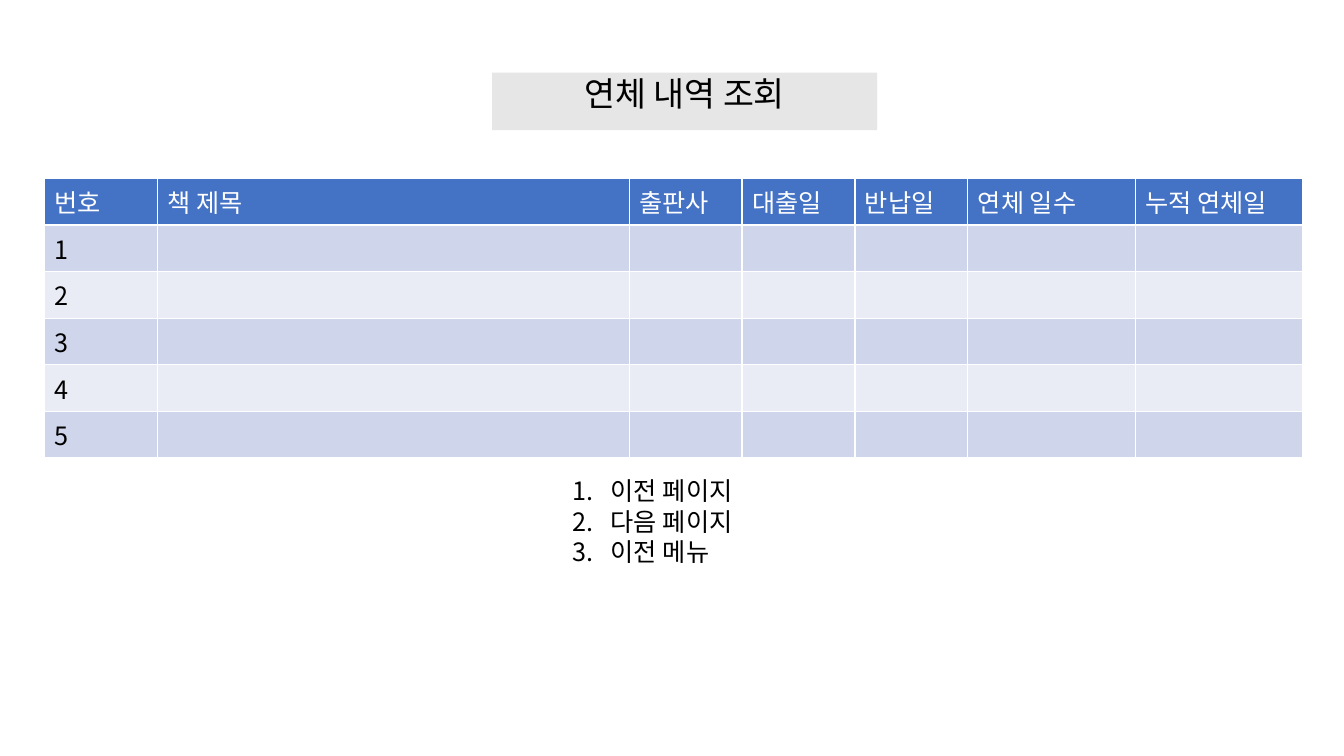
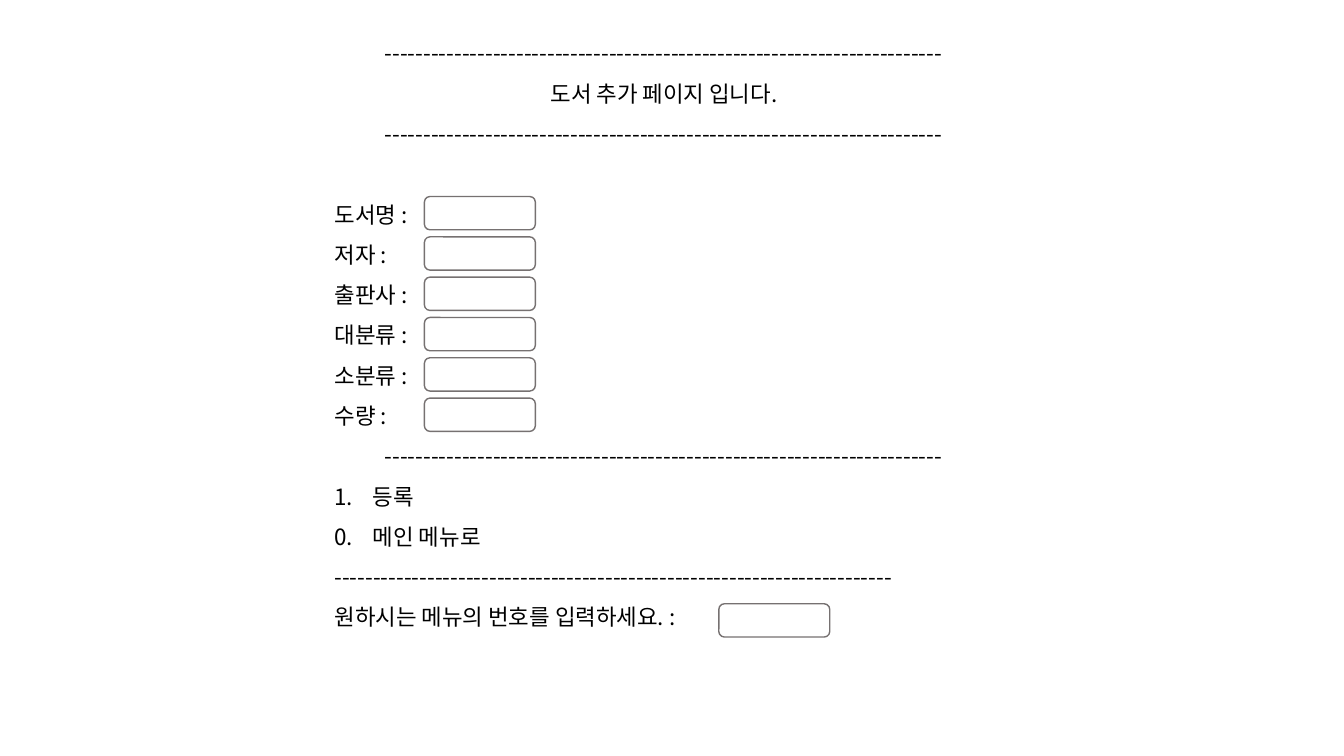
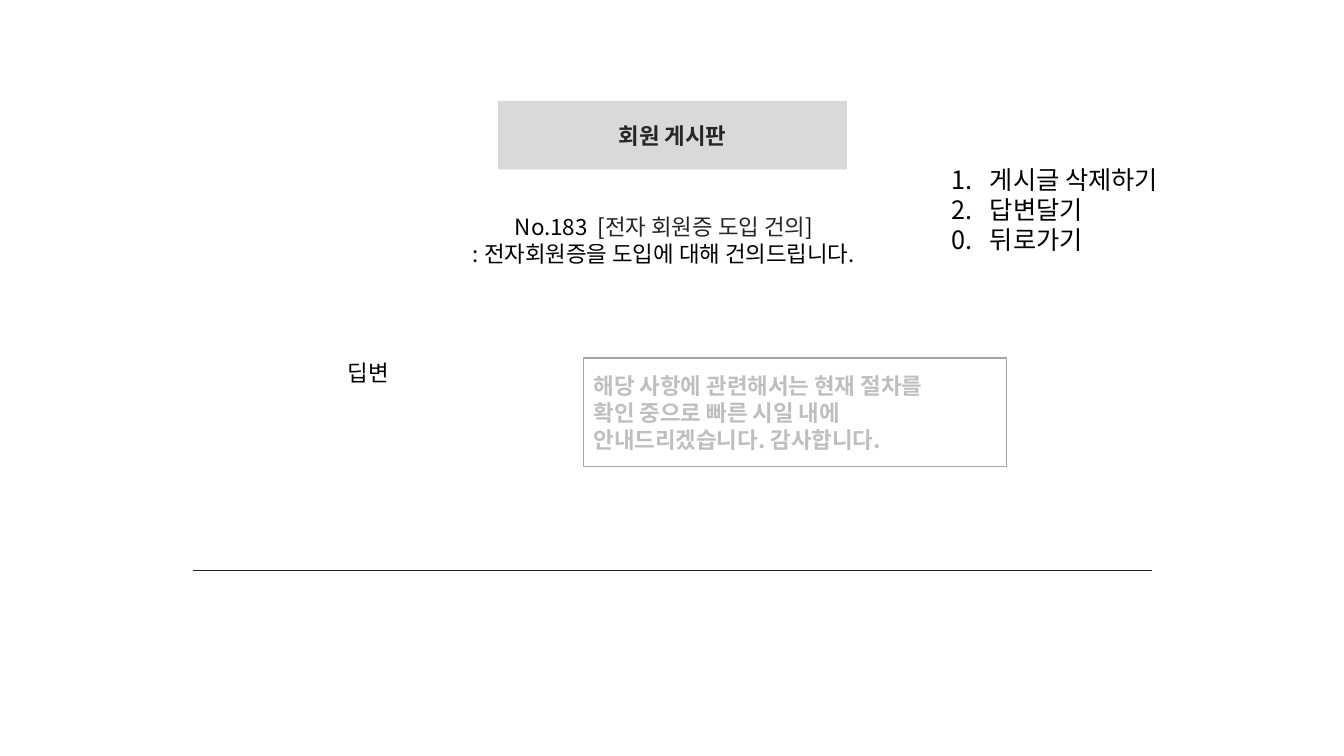
from dataclasses import dataclass

from lxml import etree
from pptx import Presentation
from pptx.dml.color import RGBColor
from pptx.enum import shapes, text
from pptx.oxml.ns import qn
from pptx.util import Inches, Pt


@dataclass(frozen=True)
class Theme:
    font: str = "Noto Sans CJK KR"
    title_font: str = "Arial"
    black: str = "000000"
    white: str = "FFFFFF"
    ink: str = "262626"
    muted: str = "BFBFBF"
    header: str = "4472C4"
    bands: tuple = ("CFD5EA", "E9EBF5")
    light_band: str = "E7E6E6"
    grey_band: str = "D9D9D9"
    field_line: str = "767171"
    answer_line: str = "A6A6A6"
    heading: int = 24
    list: int = 18
    body: int = 16


THEME = Theme()
LEFT, CENTER = text.PP_ALIGN.LEFT, text.PP_ALIGN.CENTER
TOP, MIDDLE = text.MSO_ANCHOR.TOP, text.MSO_ANCHOR.MIDDLE
DASHES = "-" * 72
HANG = 0.38
ROW = 0.4  # pitch of the form's lines, in inches


def rgb(code):
    return RGBColor.from_string(code)


def inches(box):
    return [Inches(length) for length in box]


def style(para, size=THEME.body, color=THEME.black, bold=False,
          align=LEFT, spacing=None, before=0, font=THEME.font):
    """Format a whole paragraph, Latin and Korean letters alike."""
    para.alignment = align
    para.space_before = Pt(before)
    if spacing:
        para.line_spacing = spacing
    para.font.size, para.font.bold, para.font.name = Pt(size), bold, font
    para.font.color.rgb = rgb(color)
    defaults = para._p.pPr.find(qn("a:defRPr"))
    etree.SubElement(defaults, qn("a:ea")).set("typeface", THEME.font)


def hang(para, numbered):
    """Hanging indent, with automatic numbers or a typed number and tab."""
    props = para._p.get_or_add_pPr()
    props.set("marL", str(Inches(HANG)))
    props.set("indent", str(-Inches(HANG)))
    if numbered:
        bullet = etree.Element(qn("a:buAutoNum"), type="arabicPeriod")
        props.find(qn("a:defRPr")).addprevious(bullet)


def write(frame, lines, anchor=TOP, **common):
    """Fill a frame with (text, options) lines; returns the paragraphs."""
    frame.word_wrap = True
    frame.auto_size = text.MSO_AUTO_SIZE.NONE
    frame.vertical_anchor = anchor
    paras = []
    for index, (words, options) in enumerate(lines):
        para = frame.add_paragraph() if index else frame.paragraphs[0]
        if words:
            para.text = words
        style(para, **{**common, **options})
        paras.append(para)
    return paras


def plain(*lines):
    return [(line, {}) for line in lines]


def add_text(page, box, lines, **common):
    frame = page.shapes.add_textbox(*inches(box)).text_frame
    return write(frame, lines, **common)


def add_title(page, box, words, fill=None, anchor=TOP, **options):
    title = page.shapes.title
    title.left, title.top, title.width, title.height = inches(box)
    if fill:
        title.fill.solid()
        title.fill.fore_color.rgb = rgb(fill)
    write(title.text_frame, plain(words), anchor, align=CENTER, **options)


def add_menu(page, box, numbered, last=None):
    """Numbered choices, with an optional closing choice numbered 0."""
    lines = plain(*numbered) + (plain(f"0.\t{last}") if last else [])
    paras = add_text(page, box, lines, size=THEME.list)
    for index, para in enumerate(paras):
        hang(para, index < len(numbered))


def add_box(page, kind, box, line, fill=None):
    shape = page.shapes.add_shape(kind, *inches(box))
    shape.shadow.inherit = False
    if fill:
        shape.fill.solid()
        shape.fill.fore_color.rgb = rgb(fill)
    else:
        shape.fill.background()
    shape.line.color.rgb, shape.line.width = rgb(line), Pt(1)
    return shape


def add_input(page, left, top):
    add_box(page, shapes.MSO_SHAPE.ROUNDED_RECTANGLE,
            (left, top, 1.1, 0.33), THEME.field_line)


def add_loan_table(page, left, top, columns, row_count):
    """Header row from (name, width) columns, then numbered empty rows."""
    height = 0.41
    width = sum(size for _, size in columns)
    table = page.shapes.add_table(
        row_count + 1, len(columns),
        *inches((left, top, width, height * (row_count + 1)))).table
    for column, (_, size) in zip(table.columns, columns):
        column.width = Inches(size)
    for number, row in enumerate(table.rows):
        fill = THEME.bands[(number - 1) % 2] if number else THEME.header
        for index, (cell, (name, _)) in enumerate(zip(row.cells, columns)):
            cell.fill.solid()
            cell.fill.fore_color.rgb = rgb(fill)
            words = name if not number else "" if index else str(number)
            para = cell.text_frame.paragraphs[0]
            if words:
                para.text = words
            style(para, THEME.list, THEME.black if number else THEME.white)


def overdue_slide(page):
    add_title(page, (4.88, 0.72, 3.82, 0.57), "연체 내역 조회",
              THEME.light_band, size=THEME.heading, spacing=0.9)
    columns = [("번호", 1.12), ("책 제목", 4.68), ("출판사", 1.12),
               ("대출일", 1.12), ("반납일", 1.12),
               ("연체 일수", 1.66), ("누적 연체일", 1.66)]
    add_loan_table(page, 0.44, 1.77, columns, 5)
    add_menu(page, (5.58, 4.67, 1.93, 1.01),
             ["이전 페이지", "다음 페이지", "이전 메뉴"])


def add_book_slide(page):
    left, top, width = 3.22, 0.21, 6.73
    labels = ["도서명 :", "저자 :", "출판사 :", "대분류 :", "소분류 :", "수량 :"]
    add_title(page, (left, top + ROW, width, 0.5), "도서 추가 페이지 입니다.",
              size=THEME.body, spacing=1.5)
    # Form text: the gaps leave room for the title and one free line
    gap = {"before": ROW * 72}
    centred = {"align": CENTER}
    lines = [(DASHES, centred), (DASHES, {**centred, **gap}),
             (labels[0], gap), *plain(*labels[1:]), (DASHES, centred),
             *plain("등록", "0.\t메인 메뉴로", DASHES,
                    "원하시는 메뉴의 번호를 입력하세요. :")]
    paras = add_text(page, (left, top, width, 6.11), lines, spacing=1.5)
    first_choice = 3 + len(labels)
    hang(paras[first_choice], True)
    hang(paras[first_choice + 1], False)
    # Input fields
    for index in range(len(labels)):
        add_input(page, left + 0.99, top + 1.74 + index * ROW)
    add_input(page, left + 3.91, top + 5.78)


def board_slide(page):
    add_title(page, (4.94, 1, 3.46, 0.68), "회원 게시판", THEME.grey_band,
              MIDDLE, color=THEME.ink, bold=True, font=THEME.title_font)
    # Closing rule
    rule = page.shapes.add_connector(
        shapes.MSO_CONNECTOR.STRAIGHT, *inches((1.91, 5.66, 11.43, 5.66)))
    rule.line.color.rgb, rule.line.width = rgb(THEME.ink), Pt(0.5)
    etree.SubElement(rule._element.spPr, qn("a:effectLst"))
    # Post
    post = add_text(page, (4.33, 2.07, 4.51, 0.64),
                    plain("", ": 전자회원증을 도입에 대해 건의드립니다."),
                    align=CENTER)
    for words, color in (("No.183  [", THEME.black),
                         ("전자 회원증 도입 건의", THEME.ink),
                         ("]", THEME.black)):
        span = post[0].add_run()
        span.text = words
        span.font.color.rgb = rgb(color)
    # Answer
    add_text(page, (3.35, 3.51, 0.65, 0.37), plain("딥변"))
    answer = add_box(page, shapes.MSO_SHAPE.RECTANGLE,
                     (5.79, 3.55, 4.19, 1.08), THEME.answer_line, THEME.white)
    write(answer.text_frame,
          plain("해당 사항에 관련해서는 현재 절차를",
                "확인 중으로 빠른 시일 내에 안내드리겠습니다. 감사합니다."),
          MIDDLE, color=THEME.muted, bold=True)
    add_menu(page, (9.34, 1.58, 3.9, 1.01),
             ["게시글 삭제하기", "답변달기"], "뒤로가기")


def main():
    deck = Presentation()
    deck.slide_width, deck.slide_height = Inches(13.33), Inches(7.5)
    title_only = deck.slide_layouts[5]
    for build in (overdue_slide, add_book_slide, board_slide):
        build(deck.slides.add_slide(title_only))
    deck.save("out.pptx")


if __name__ == "__main__":
    main()
